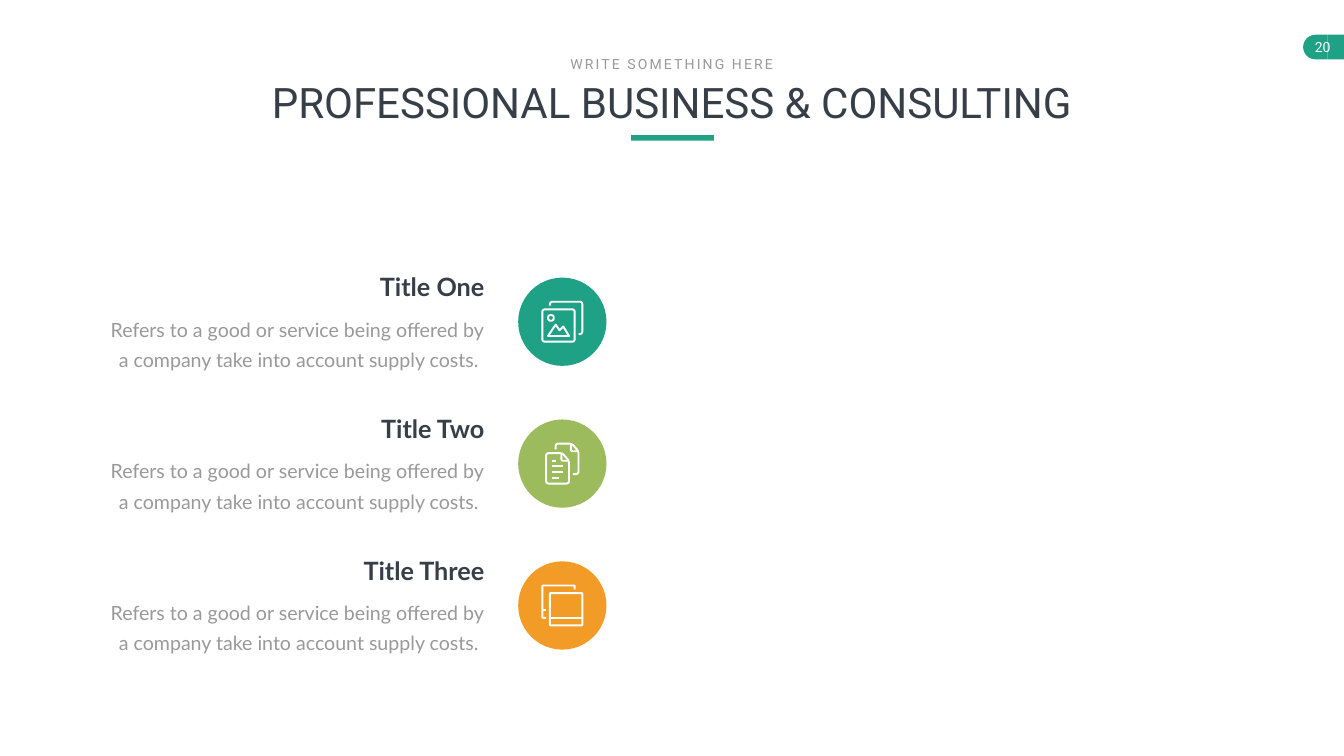
import pptx
import pptx.dml.color
import pptx.enum.shapes
import pptx.enum.text
import pptx.util

Cm = pptx.util.Cm
Pt = pptx.util.Pt
RGBColor = pptx.dml.color.RGBColor
Shape = pptx.enum.shapes.MSO_SHAPE
Align = pptx.enum.text.PP_ALIGN

GREEN = RGBColor(0x1E, 0xA1, 0x85)
LIME = RGBColor(0x9B, 0xBB, 0x5C)
ORANGE = RGBColor(0xF2, 0x9B, 0x26)
DARK = RGBColor(0x36, 0x3E, 0x48)
GRAY = RGBColor(0x99, 0x99, 0x99)
WHITE = RGBColor(0xFF, 0xFF, 0xFF)

ICON_UNIT = Cm(2.11) / 22
ROW_TOP = 13.56
ROW_PITCH = 7.15
DESCRIPTION = ("Refers to a good or service being offered by "
               "a company take into account supply costs. ")


def box(left, top, right, bottom):
    """Return the corner points of a rectangle."""
    return [(left, top), (right, top), (right, bottom), (left, bottom)]


# Each stroke is (points, corner radius, closed) on an icon grid.
PICTURE_ICON = (22, 22, [
    (box(0.5, 4.5, 17.5, 21.5), 1.5, True),
    ([(4.5, 2.5), (4.5, 0.5), (21.5, 0.5), (21.5, 17.5), (19.5, 17.5)], 1.5, False),
    ([(3.5, 18.5), (7.5, 12.5), (9.5, 15.5), (11.5, 13.5), (14.5, 18.5)], 0, True),
    (box(3.5, 7.5, 6.5, 10.5), 1.5, True),
])
DOCUMENTS_ICON = (18, 22, [
    ([(0.5, 5.5), (9, 5.5), (12.5, 9.5), (12.5, 21.5), (0.5, 21.5)], 1.5, True),
    ([(8.5, 5.5), (8.5, 9.5), (12.5, 9.5)], 1, False),
    ([(5.5, 3.5), (5.5, 0.5), (14, 0.5), (17.5, 4.5), (17.5, 16.5), (14.5, 16.5)], 1.5, False),
    ([(13.5, 0.5), (13.5, 4.5), (17.5, 4.5)], 1, False),
] + [([(3.5, y), (right, y)], 0, False)
     for y, right in [(9.5, 5.5), (12.5, 9.5), (15.5, 9.5), (18.5, 7.5)]])
WINDOWS_ICON = (22, 22, [
    (box(4.5, 4.5, 21.5, 21.5), 0.5, True),
    ([(4.5, 17.5), (21.5, 17.5)], 0, False),
    ([(2.5, 17.5), (0.5, 17.5), (0.5, 0.5), (17.5, 0.5), (17.5, 2.5)], 0.5, False),
    ([(0.5, 13.5), (2.5, 13.5)], 0, False),
])

ROWS = [
    ("Title One", GREEN, PICTURE_ICON),
    ("Title Two", LIME, DOCUMENTS_ICON),
    ("Title Three", ORANGE, WINDOWS_ICON),
]


def toward(start, end, distance):
    """Return the point a given distance from start in the direction of end."""
    dx, dy = end[0] - start[0], end[1] - start[1]
    share = distance / (dx * dx + dy * dy) ** 0.5
    return start[0] + dx * share, start[1] + dy * share


def round_corners(points, radius, closed):
    """Replace the corners of an outline by short curves."""
    if not radius:
        return points
    rounded = []
    for index, corner in enumerate(points):
        if not closed and index in (0, len(points) - 1):
            rounded.append(corner)
            continue
        start = toward(corner, points[index - 1], radius)
        end = toward(corner, points[(index + 1) % len(points)], radius)
        for step in range(7):
            t = step / 6
            weights = (1 - t) ** 2, 2 * t * (1 - t), t ** 2
            rounded.append(tuple(
                sum(weight * point[axis] for weight, point in zip(weights, (start, corner, end)))
                for axis in (0, 1)))
    return rounded


def add_icon(slide, icon, center_x, center_y):
    """Draw a white outline icon around a center point."""
    width, height, strokes = icon
    left = center_x - width * ICON_UNIT / 2
    top = center_y - height * ICON_UNIT / 2
    builder = None
    for points, radius, closed in strokes:
        outline = [(left + x * ICON_UNIT, top + y * ICON_UNIT)
                   for x, y in round_corners(points, radius, closed)]
        if builder is None:
            builder = slide.shapes.build_freeform(*outline[0])
        else:
            builder.move_to(*outline[0])
        builder.add_line_segments(outline[1:], close=closed)
    shape = builder.convert_to_shape()
    shape.shadow.inherit = False
    shape.fill.background()
    shape.line.color.rgb = WHITE
    shape.line.width = Pt(2.75)


def add_filled_shape(slide, kind, left, top, width, height, color):
    """Add a borderless preset shape with a solid fill."""
    shape = slide.shapes.add_shape(kind, Cm(left), Cm(top), Cm(width), Cm(height))
    shape.shadow.inherit = False
    shape.fill.solid()
    shape.fill.fore_color.rgb = color
    shape.line.fill.background()
    return shape


def add_text(slide, text, left, top, width, height, *, size, color, font="Roboto", bold=False,
             align=Align.CENTER, margins=(0.25, 0.13), line_spacing=None, tracking=None, shape=None):
    """Write formatted text in a new text box or in the given shape."""
    if shape is None:
        shape = slide.shapes.add_textbox(0, 0, 0, 0)
    shape.left, shape.top, shape.width, shape.height = map(Cm, (left, top, width, height))
    frame = shape.text_frame
    frame.word_wrap = True
    frame.auto_size = pptx.enum.text.MSO_AUTO_SIZE.NONE
    frame.vertical_anchor = pptx.enum.text.MSO_ANCHOR.TOP
    frame.margin_left = frame.margin_right = Cm(margins[0])
    frame.margin_top = frame.margin_bottom = Cm(margins[1])
    paragraph = frame.paragraphs[0]
    paragraph.alignment = align
    if line_spacing:
        paragraph.line_spacing = Pt(line_spacing)
    run = paragraph.add_run()
    run.text = text
    run.font.name = font
    run.font.size = Pt(size)
    run.font.bold = bold
    run.font.color.rgb = color
    if tracking:
        run.font._element.set("spc", str(tracking * 100))


def add_header(slide):
    """Add the title, the line above it and the bar below it."""
    add_text(slide, "PROFESSIONAL BUSINESS & CONSULTING", 10.72, 3.73, 46.28, 2.82,
             size=60, color=DARK, shape=slide.shapes.title)
    add_text(slide, "WRITE SOMETHING HERE", 28.32, 2.67, 11.05, 1.12,
             size=20, color=GRAY, tracking=3)
    add_filled_shape(slide, Shape.RECTANGLE, 31.8, 6.81, 4.17, 0.28, GREEN)


def add_page_badge(slide):
    """Add the page number on its tab at the right edge."""
    cap = add_filled_shape(slide, Shape.FLOWCHART_DELAY, 65.66, 1.75, 1.24, 1.24, GREEN)
    cap.rotation = 180
    add_filled_shape(slide, Shape.RECTANGLE, 66.9, 1.75, 0.82, 1.24, GREEN)
    add_text(slide, "20", 65.65, 1.7, 2, 1.37, size=20, color=WHITE, margins=(0, 0.25))


def add_row(slide, top, title, color, icon):
    """Add a titled description with its icon circle."""
    add_text(slide, title, 14.58, top, 10.08, 1.8,
             size=36, color=DARK, font="Lato", bold=True, align=Align.RIGHT)
    add_text(slide, DESCRIPTION, 4.88, top + 1.81, 20.09, 3.51, size=28, color=GRAY,
             font="Lato", align=Align.RIGHT, margins=(0.61, 0.3), line_spacing=43)
    circle = add_filled_shape(slide, Shape.OVAL, 26.11, top + 0.43, 4.45, 4.45, color)
    add_icon(slide, icon, circle.left + circle.width / 2, circle.top + circle.height / 2)


def main():
    """Build the slide and save the presentation."""
    presentation = pptx.Presentation()
    presentation.slide_width = Cm(67.72)
    presentation.slide_height = Cm(38.1)
    slide = presentation.slides.add_slide(presentation.slide_layouts[5])
    add_header(slide)
    add_page_badge(slide)
    for index, row in enumerate(ROWS):
        add_row(slide, ROW_TOP + index * ROW_PITCH, *row)
    presentation.save("out.pptx")


if __name__ == "__main__":
    main()
